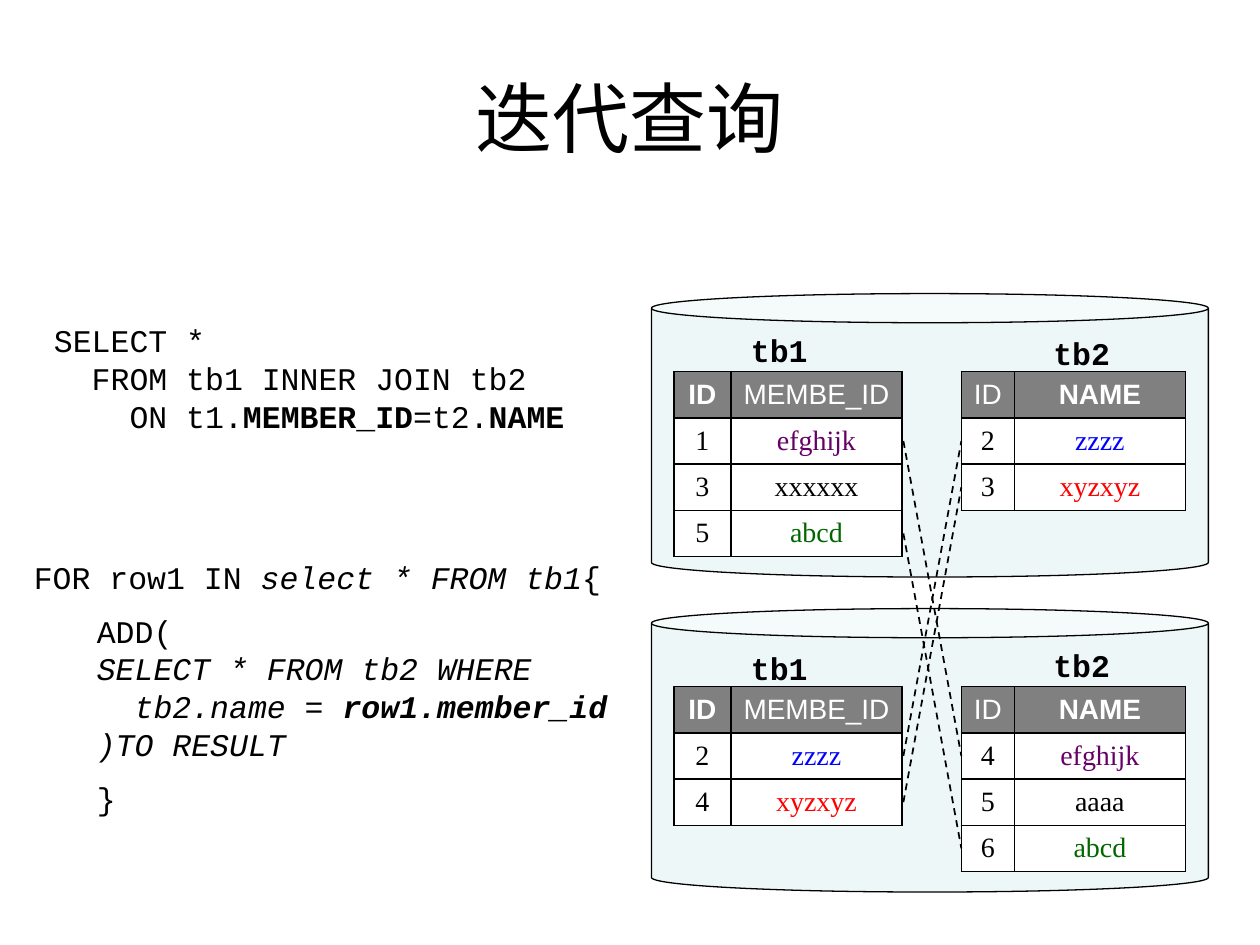
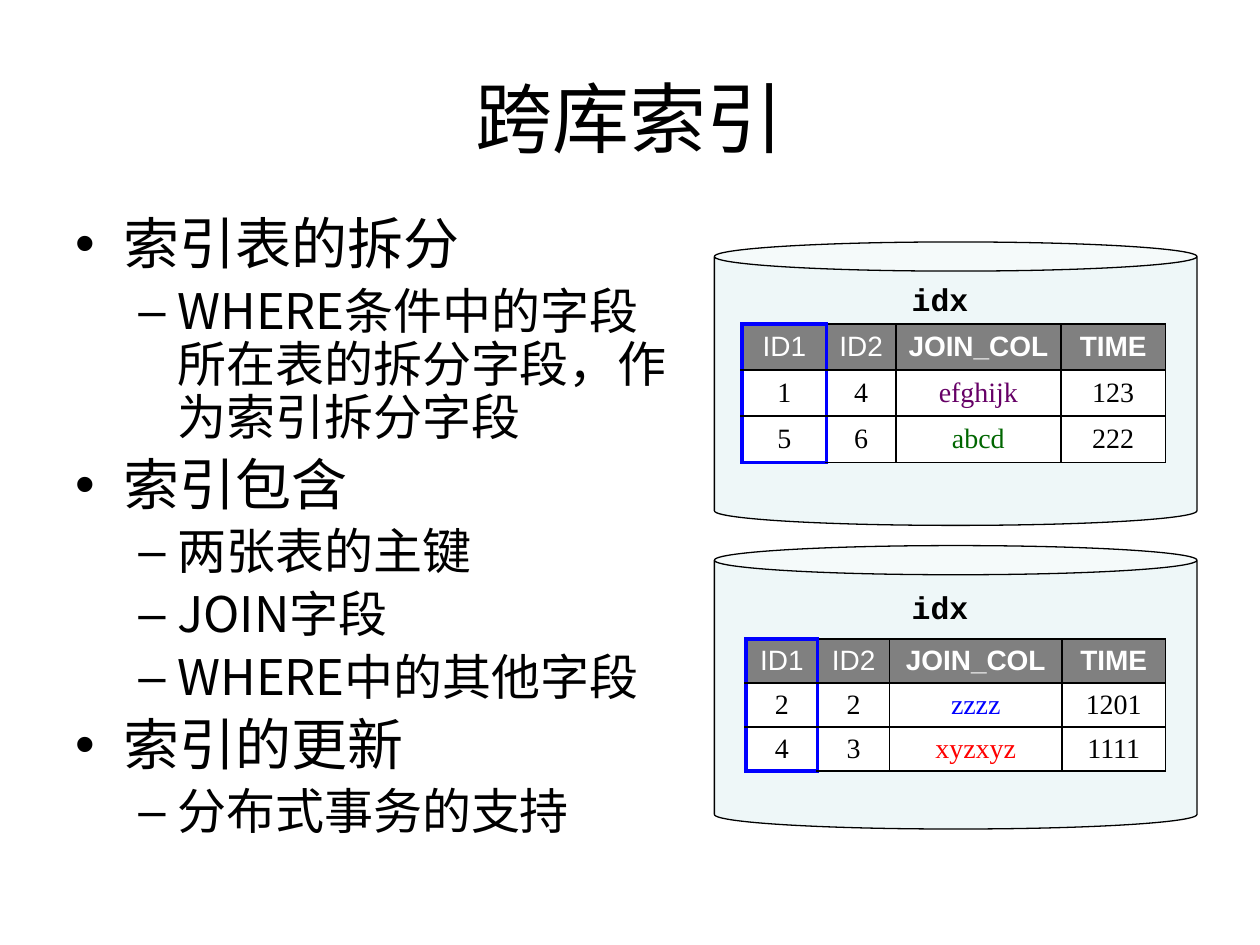
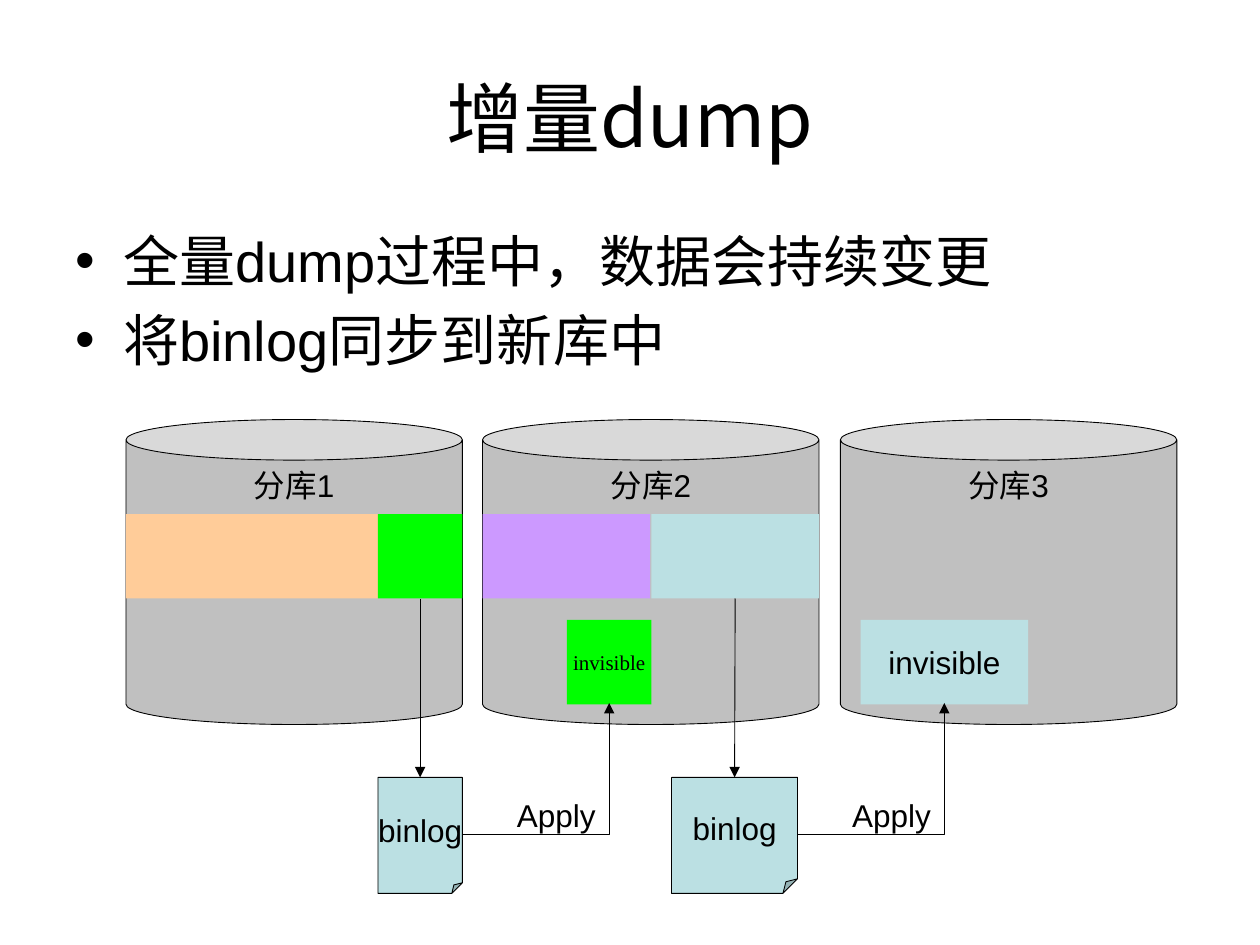
import lxml.etree
import pptx
import pptx.dml.color
import pptx.enum.dml
import pptx.enum.shapes
import pptx.enum.text
import pptx.oxml.ns
import pptx.util

Inches = pptx.util.Inches
Pt = pptx.util.Pt
qn = pptx.oxml.ns.qn
KIND = pptx.enum.shapes.MSO_SHAPE
WIRE = pptx.enum.shapes.MSO_CONNECTOR
ALIGN = pptx.enum.text.PP_ALIGN
ANCHOR = pptx.enum.text.MSO_ANCHOR


class Theme:
    """Colours, fonts and type sizes of the deck."""
    ink, paper, head = "000000", "FFFFFF", "808080"
    aqua, gray, green = "BBE0E3", "C0C0C0", "00FF00"
    peach, lilac, key = "FFCC99", "CC99FF", "0000FF"
    marks = {"zzzz": "0000FF", "xyzxyz": "FF0000",
             "efghijk": "660066", "abcd": "006600"}
    sans, code, serif, han = "Arial", "Courier New", "Times New Roman", "Noto Sans CJK SC"
    title, text, cell, small = 44, 18, 16, 12
    # Bullet levels: size, left margin, hanging indent, sign
    levels = [(32, 0.38, -0.38, "•"), (28, 0.81, -0.31, "–")]
    row = 1.1 / 3


# Text and colour

def rgb(hue):
    return pptx.dml.color.RGBColor.from_string(hue)


def setall(target, **values):
    for name, value in values.items():
        setattr(target, name, value)


def node(parent, tag, **attrs):
    return lxml.etree.SubElement(parent, qn(tag), attrs)


def write(para, text, size=Theme.text, face=Theme.sans, hue=Theme.ink, **style):
    """Add text to a paragraph, with a line break at each newline."""
    for n, line in enumerate(text.split("\n")):
        if n:
            para.add_line_break()
        if not line:
            continue
        run = para.add_run()
        run.text = line
        setall(run.font, size=Pt(size), name=face, **style)
        run.font.color.rgb = rgb(hue)
        node(run.font._element, "a:ea", typeface=Theme.han)


def center(frame, text, middle=True, **style):
    frame.vertical_anchor = ANCHOR.MIDDLE if middle else ANCHOR.TOP
    para = frame.paragraphs[0]
    para.alignment = ALIGN.CENTER
    write(para, text, **style)


def box(slide, area):
    frame = slide.shapes.add_textbox(*map(Inches, area)).text_frame
    frame.word_wrap = True
    return frame


def paras(frame, count):
    return [frame.paragraphs[0]] + [frame.add_paragraph() for _ in range(count - 1)]


def label(slide, area, text, **style):
    center(box(slide, area), text, middle=False, **style)


def code(slide, area, blocks):
    """Write code blocks, each an indent and a list of (text, style)."""
    frame = box(slide, area)
    for n, (para, (indent, runs)) in enumerate(zip(paras(frame, len(blocks)), blocks)):
        if n:
            para.space_before = Pt(Theme.text / 2)
        para._p.get_or_add_pPr().set("marL", str(Inches(indent)))
        for text, style in runs:
            write(para, text, face=Theme.code, **style)


def bullets(slide, area, items, face, pitch=1.0):
    frame = box(slide, area)
    for para, (level, text) in zip(paras(frame, len(items)), items):
        size, left, hang, sign = Theme.levels[level]
        setall(para, level=level, line_spacing=pitch, space_before=Pt(size * 0.2))
        props = para._p.get_or_add_pPr()
        props.set("marL", str(Inches(left)))
        props.set("indent", str(Inches(hang)))
        node(props, "a:buFont", typeface=Theme.sans)
        node(props, "a:buChar", char=sign)
        write(para, text, size=size, face=face)


# Shapes and lines

def shape(slide, kind, area, hue, line=0, adj=None, alpha=None):
    item = slide.shapes.add_shape(kind, *map(Inches, area))
    item.shadow.inherit = False
    item.fill.solid()
    item.fill.fore_color.rgb = rgb(hue)
    props = item._element.spPr
    if alpha:
        node(props.find(qn("a:solidFill"))[0], "a:alpha", val=str(alpha * 1000))
    if line:
        item.line.color.rgb = rgb(Theme.ink)
        item.line.width = Pt(line)
    else:
        item.line.fill.background()
    if adj:
        # Written as XML, since the folded corner has no adjustments in python-pptx
        guides = props.find(qn("a:prstGeom")).get_or_add_avLst()
        guides.clear()
        node(guides, "a:gd", name="adj", fmla=f"val {round(adj * 100000)}")
    item.text_frame.word_wrap = False
    return item


def store(slide, area):
    return shape(slide, KIND.CAN, area, Theme.aqua, line=0.75, adj=0.103, alpha=24)


def wire(slide, start, end, width=0.5, bent=False, dash=False, arrow=True):
    kind = WIRE.ELBOW if bent else WIRE.STRAIGHT
    item = slide.shapes.add_connector(kind, *map(Inches, start + end))
    item.line.color.rgb = rgb(Theme.ink)
    item.line.width = Pt(width)
    props = item._element.spPr
    if bent:
        props.find(qn("a:prstGeom")).set("prst", "bentConnector2")
    if dash:
        item.line.dash_style = pptx.enum.dml.MSO_LINE.DASH
    if arrow:
        node(props.find(qn("a:ln")), "a:tailEnd", type="triangle")
    node(props, "a:effectLst")
    return item


# Tables

def edge(cell, keyed):
    """Draw the four cell borders; sides in keyed are thick and blue."""
    props = cell._tc.get_or_add_tcPr()
    for n, side in enumerate("LRTB"):
        hue, width = (Theme.key, 2.25) if side in keyed else (Theme.ink, 1)
        line = lxml.etree.Element(qn("a:ln" + side), {"w": str(Pt(width))})
        node(node(line, "a:solidFill"), "a:srgbClr", val=hue)
        props.insert(n, line)


def sides(r, c, last):
    """Tell which borders of a cell belong to the key column's frame."""
    if c == 0:
        return "LR" + "T" * (r == 0) + "B" * (r == last)
    return "L" if c == 1 else ""


def grid(slide, left, top, cols, rows, bold, keyed=False, tall=Theme.row):
    area = (left, top, sum(cols), tall * len(rows))
    table = slide.shapes.add_table(len(rows), len(cols), *map(Inches, area)).table
    for col, width in zip(table.columns, cols):
        col.width = Inches(width)
    for r, row in enumerate(rows):
        table.rows[r].height = Inches(tall)
        for c, text in enumerate(row.split()):
            cell = table.cell(r, c)
            setall(cell, margin_left=Inches(0.05), margin_right=Inches(0.05),
                   margin_top=Inches(0.03), margin_bottom=Inches(0.03),
                   vertical_anchor=ANCHOR.MIDDLE)
            cell.fill.solid()
            cell.fill.fore_color.rgb = rgb(Theme.paper if r else Theme.head)
            if r:
                style = dict(face=Theme.serif, hue=Theme.marks.get(text, Theme.ink),
                             bold=False)
            else:
                style = dict(hue=Theme.paper, bold=text in bold)
            para = cell.text_frame.paragraphs[0]
            para.alignment = ALIGN.CENTER
            write(para, text, size=Theme.cell, **style)
            edge(cell, sides(r, c, len(rows) - 1) if keyed else "")


# Slides

def page(deck, title):
    slide = deck.slides.add_slide(deck.slide_layouts[6])
    center(box(slide, (0.5, 0.3, 9, 1.25)), title, size=Theme.title, face=Theme.han)
    return slide


def query(deck):
    slide = page(deck, "迭代查询")
    b, i, bi = dict(bold=True), dict(italic=True), dict(bold=True, italic=True)
    code(slide, (0.33, 2.5, 4.5, 1), [
        (0, [("SELECT *\n  FROM tb1 INNER JOIN tb2\n    ON t1.", {}),
             ("MEMBER_ID", b), ("=t2.", {}), ("NAME", b)])])
    code(slide, (0.17, 4.38, 5.08, 2.2), [
        (0, [("FOR row1 IN ", {}), ("select * FROM tb1", i), ("{", {})]),
        (0.5, [("ADD(\n", {}), ("SELECT * FROM tb2 WHERE\n  tb2.name = ", i),
               ("row1.member_id\n", bi), (")TO RESULT", i)]),
        (0.5, [("}", {})])])

    # Two databases, each with a part of both tables
    upper, lower = 2.95, 5.45
    parts = [
        (lower, 5.1, 5.08, ["2 zzzz", "4 xyzxyz"], ["4 efghijk", "5 aaaa", "6 abcd"]),
        (upper, 2.58, 2.6, ["1 efghijk", "3 xxxxxx", "5 abcd"], ["2 zzzz", "3 xyzxyz"])]
    for top, *_ in parts:
        store(slide, (5.17, top - 0.62, 4.42, 2.25))
    for top, y1, y2, rows1, rows2 in parts:
        grid(slide, 5.35, top, (0.45, 1.36), ["ID MEMBE_ID"] + rows1, {"ID"})
        grid(slide, 7.63, top, (0.42, 1.36), ["ID NAME"] + rows2, {"NAME"})
        for x, y, name in ((5.77, y1, "tb1"), (8.17, y2, "tb2")):
            label(slide, (x, y, 0.83, 0.4), name, face=Theme.code, bold=True)

    # Matching rows across the databases
    for top, other, row in ((upper, lower, 1), (upper, lower, 3),
                            (lower, upper, 1), (lower, upper, 2)):
        mid = Theme.row * (row + 0.5)
        wire(slide, (7.17, top + mid), (7.63, other + mid), width=1, dash=True, arrow=False)


def index(deck):
    slide = page(deck, "跨库索引")
    parts = [
        (4.33, 4.62, 5.92, 5.07, 0.35, (0.57, 0.57, 1.37, 0.82),
         ["2 2 zzzz 1201", "4 3 xyzxyz 1111"]),
        (1.92, 2.17, 5.89, 2.57, Theme.row, (0.67, 0.55, 1.31, 0.83),
         ["1 4 efghijk 123", "5 6 abcd 222"])]
    for y, name, left, top, tall, cols, rows in parts:
        store(slide, (5.67, y, 3.83, 2.25))
        grid(slide, left, top, cols, ["ID1 ID2 JOIN_COL TIME"] + rows,
             {"JOIN_COL", "TIME"}, keyed=True, tall=tall)
        label(slide, (6.67, name, 1.58, 0.4), "idx", face=Theme.code, bold=True)
    bullets(slide, (0.5, 1.67, 4.92, 5.5), [
        (0, "索引表的拆分"),
        (1, "WHERE条件中的字段所在表的拆分字段，作为索引拆分字段"),
        (0, "索引包含"),
        (1, "两张表的主键"),
        (1, "JOIN字段"),
        (1, "WHERE中的其他字段"),
        (0, "索引的更新"),
        (1, "分布式事务的支持")], Theme.han, pitch=0.9)


def dump(deck):
    slide = page(deck, "增量dump")
    bullets(slide, (0.5, 1.75, 9, 1.58),
            [(0, "全量dump过程中，数据会持续变更"), (0, "将binlog同步到新库中")], Theme.sans)

    # Databases and their data blocks
    for n, x in enumerate((1, 3.83, 6.67), 1):
        can = shape(slide, KIND.CAN, (x, 3.33, 2.67, 2.42), Theme.gray, line=0.5, adj=0.133)
        center(can.text_frame, f"分库{n}", middle=False)
    blocks = [shape(slide, KIND.RECTANGLE, (x, 4.08, width, 0.67), hue)
              for x, width, hue in ((1, 2, Theme.peach), (3, 0.67, Theme.green),
                                    (3.83, 1.33, Theme.lilac), (5.17, 1.33, Theme.aqua))]

    # Each moved block: its log, its hidden copy and the way between
    flows = [
        (blocks[1], 3, 0.67, 4.5, 0.67, Theme.green,
         dict(size=Theme.small, face=Theme.serif)),
        (blocks[3], 5.33, 1, 6.83, 1.33, Theme.aqua, {})]
    for block, x, width, left, wide, hue, style in flows:
        ghost = shape(slide, KIND.RECTANGLE, (left, 4.92, wide, 0.67), hue)
        center(ghost.text_frame, "invisible", **style)
        log = shape(slide, KIND.FOLDED_CORNER, (x, 6.17, width, 0.92),
                    Theme.aqua, line=0.5, adj=0.125)
        center(log.text_frame, "binlog")
        mid = x + width / 2
        down = wire(slide, (mid, 4.75), (mid, 6.17))
        down.begin_connect(block, 2)
        down.end_connect(log, 0)
        wire(slide, (x + width, 6.62), (left + wide / 2, 5.58), bent=True)
        label(slide, (x + width + 0.12, 6.27, 1.25, 0.4), "Apply")


def main():
    deck = pptx.Presentation()
    setall(deck, slide_width=Inches(10), slide_height=Inches(7.5))
    for build in (query, index, dump):
        build(deck)
    deck.save("out.pptx")


if __name__ == "__main__":
    main()
